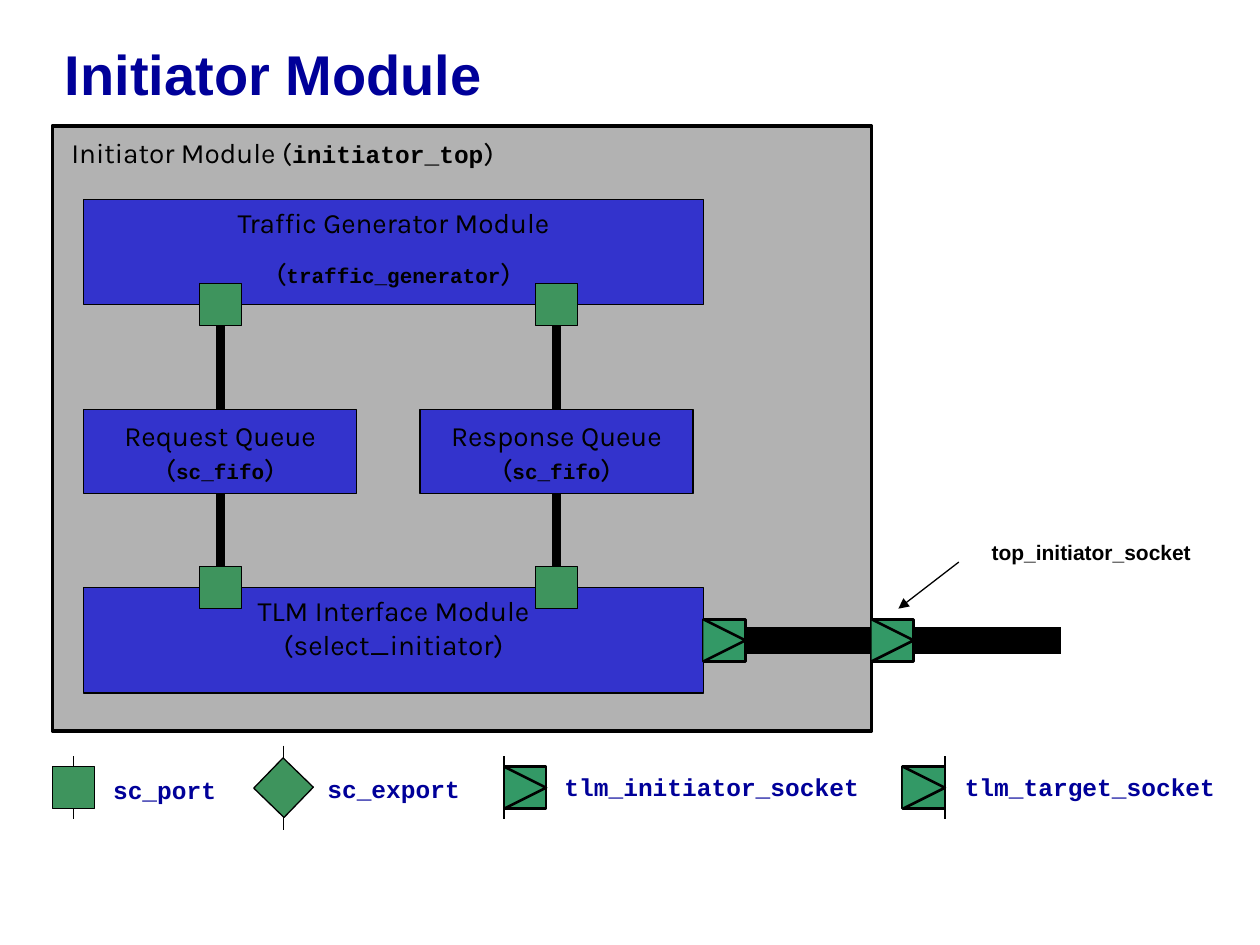
"""Build the Initiator Module block diagram slide."""
from typing import NamedTuple

from lxml.etree import SubElement
from pptx import Presentation
from pptx.dml.color import RGBColor
from pptx.enum.shapes import MSO_CONNECTOR, MSO_SHAPE
from pptx.enum.text import MSO_ANCHOR, MSO_AUTO_SIZE, PP_ALIGN
from pptx.oxml.ns import qn
from pptx.util import Cm, Pt

NAVY = RGBColor(0x00, 0x00, 0x99)
BLACK = RGBColor(0x00, 0x00, 0x00)
GREY = RGBColor(0xB2, 0xB2, 0xB2)
BLUE = RGBColor(0x33, 0x33, 0xCC)
PORT_GREEN = RGBColor(0x3E, 0x94, 0x5D)
SOCKET_GREEN = RGBColor(0x33, 0x99, 0x66)

SIDE = 0.85
THIN = 0.74
PORT_XS = (4.45, 11.22)
SOCKET_XS = (14.18, 17.57)
SOCKET_Y = 12.91
LEGEND_Y = 15.88


class Run(NamedTuple):
    text: str
    font: str = "Karla"
    size: float = 16
    bold: bool = False


class Block(NamedTuple):
    left: float
    top: float
    width: float
    height: float
    lines: list[list[Run]]
    anchor: MSO_ANCHOR = MSO_ANCHOR.TOP
    gap: float = 0


class LegendItem(NamedTuple):
    kind: str
    left: float
    line_x: float
    reach: float
    text_left: float
    text_width: float
    text_top: float


def code(text: str, size: float = 12) -> Run:
    return Run(text, "Courier New", size, True)


def write(tf, lines, *, color=BLACK, align=PP_ALIGN.LEFT, anchor=MSO_ANCHOR.TOP,
          wrap=False, gap=0, spacing=None, before=0):
    tf.word_wrap = wrap
    tf.vertical_anchor = anchor
    for i, line in enumerate(lines):
        p = tf.add_paragraph() if i else tf.paragraphs[0]
        p.alignment = align
        p.space_before = Pt(gap if i else before)
        if spacing:
            p.line_spacing = spacing
        for run in line:
            r = p.add_run()
            r.text = run.text
            r.font.name = run.font
            r.font.size = Pt(run.size)
            r.font.bold = run.bold
            r.font.color.rgb = color


def add_text(s, left: float, top: float, width: float, height: float, line: list[Run],
             wrap: bool = False, **fmt):
    sp = s.shapes.add_textbox(Cm(left), Cm(top), Cm(width), Cm(height))
    write(sp.text_frame, [line], wrap=wrap, **fmt)
    if not wrap:
        sp.text_frame.auto_size = MSO_AUTO_SIZE.SHAPE_TO_FIT_TEXT


def paint(sp, fill: RGBColor, weight: float):
    sp.shadow.inherit = False
    sp.fill.solid()
    sp.fill.fore_color.rgb = fill
    sp.line.color.rgb = BLACK
    sp.line.width = Pt(weight)


def add_box(s, left: float, top: float, width: float, height: float,
            fill: RGBColor, weight: float = THIN):
    sp = s.shapes.add_shape(MSO_SHAPE.RECTANGLE, Cm(left), Cm(top), Cm(width), Cm(height))
    paint(sp, fill, weight)
    return sp


def add_block(s, block: Block):
    sp = add_box(s, block.left, block.top, block.width, block.height, BLUE)
    write(sp.text_frame, block.lines, align=PP_ALIGN.CENTER, anchor=block.anchor, gap=block.gap)


def add_line(s, x1: float, y1: float, x2: float, y2: float, weight: float = THIN,
             arrow: bool = False):
    sp = s.shapes.add_connector(MSO_CONNECTOR.STRAIGHT, Cm(x1), Cm(y1), Cm(x2), Cm(y2))
    sp.line.color.rgb = BLACK
    sp.line.width = Pt(weight)
    if arrow:
        SubElement(sp.line._get_or_add_ln(), qn("a:tailEnd"), type="triangle")
    SubElement(sp._element.spPr, qn("a:effectLst"))


def add_port(s, left: float, center_y: float, rotation: float = 0):
    add_box(s, left, center_y - SIDE / 2, SIDE, SIDE, PORT_GREEN).rotation = rotation


def add_socket(s, left: float, center_y: float):
    top = center_y - SIDE / 2
    add_box(s, left, top, SIDE, SIDE, SOCKET_GREEN, 1.5)
    builder = s.shapes.build_freeform(Cm(left), Cm(top))
    builder.add_line_segments(
        [(Cm(left + SIDE), Cm(center_y)), (Cm(left), Cm(top + SIDE))], close=False)
    paint(builder.convert_to_shape(), SOCKET_GREEN, 1.5)


def add_legend_item(s, item: LegendItem):
    ends = (item.line_x, LEGEND_Y - item.reach, item.line_x, LEGEND_Y + item.reach)
    if item.kind.endswith("socket"):
        add_socket(s, item.left, LEGEND_Y)
        add_line(s, *ends)
    else:
        add_line(s, *ends)
        add_port(s, item.left, LEGEND_Y, 44.1 if item.kind == "sc_export" else 0)
    add_text(s, item.text_left, item.text_top, item.text_width, 0.86,
             [code(item.kind, 14)], color=NAVY)


BLOCKS = [
    Block(1.69, 4.02, 12.49, 2.12,
          [[Run("Traffic Generator Module")], [Run("("), code("traffic_generator"), Run(")")]],
          gap=9.5),
    Block(1.69, 11.85, 12.49, 2.12,
          [[Run("TLM Interface Module")], [Run("(select_initiator)")]]),
    *(Block(left, 8.26, 5.5, 1.69,
            [[Run(f"{name} Queue")], [Run("("), code("sc_fifo"), Run(")")]],
            MSO_ANCHOR.MIDDLE)
      for left, name in ((1.69, "Request"), (8.47, "Response"))),
]

LEGEND = [
    LegendItem("sc_port", 1.06, 1.48, 0.64, 2.03, 2.59, 15.49),
    LegendItem("sc_export", 5.29, 5.72, 0.85, 6.35, 3.18, 15.47),
    LegendItem("tlm_initiator_socket", 10.16, 10.16, 0.64, 11.13, 6.45, 15.44),
    LegendItem("tlm_target_socket", 18.2, 19.05, 0.64, 19.2, 5.56, 15.44),
]


def main():
    prs = Presentation()
    prs.slide_width, prs.slide_height = Cm(25.4), Cm(19.05)
    s = prs.slides.add_slide(prs.slide_layouts[6])

    add_text(s, 1.06, 0, 24.13, 3.18, [Run("Initiator Module", "Arial", 32, True)],
             color=NAVY, anchor=MSO_ANCHOR.MIDDLE, wrap=True, spacing=0.85)
    for item in LEGEND:
        add_legend_item(s, item)

    add_box(s, 1.06, 2.54, 16.51, 12.19, GREY, 2.24)
    add_text(s, 1.19, 2.74, 14.68, 0.81,
             [Run("Initiator Module ("), code("initiator_top", 14), Run(")")],
             wrap=True, spacing=0.8, before=10)

    for x1, x2 in ((15.06, 17.55), (18.44, 21.39)):
        add_line(s, x1, SOCKET_Y, x2, SOCKET_Y, 15)
    for x in PORT_XS:
        for y1, y2 in ((6.56, 8.26), (9.95, 11.43)):
            add_line(s, x, y1, x, y2, 4.99)
    for block in BLOCKS:
        add_block(s, block)
    for x in PORT_XS:
        for y in (6.14, 11.85):
            add_port(s, x - SIDE / 2, y)
    for x in SOCKET_XS:
        add_socket(s, x, SOCKET_Y)

    add_text(s, 19.74, 10.75, 4.6, 0.76, [Run("top_initiator_socket", "Arial", 12, True)])
    add_line(s, 19.33, 11.33, 18.11, 12.27, arrow=True)
    prs.save("out.pptx")


main()
